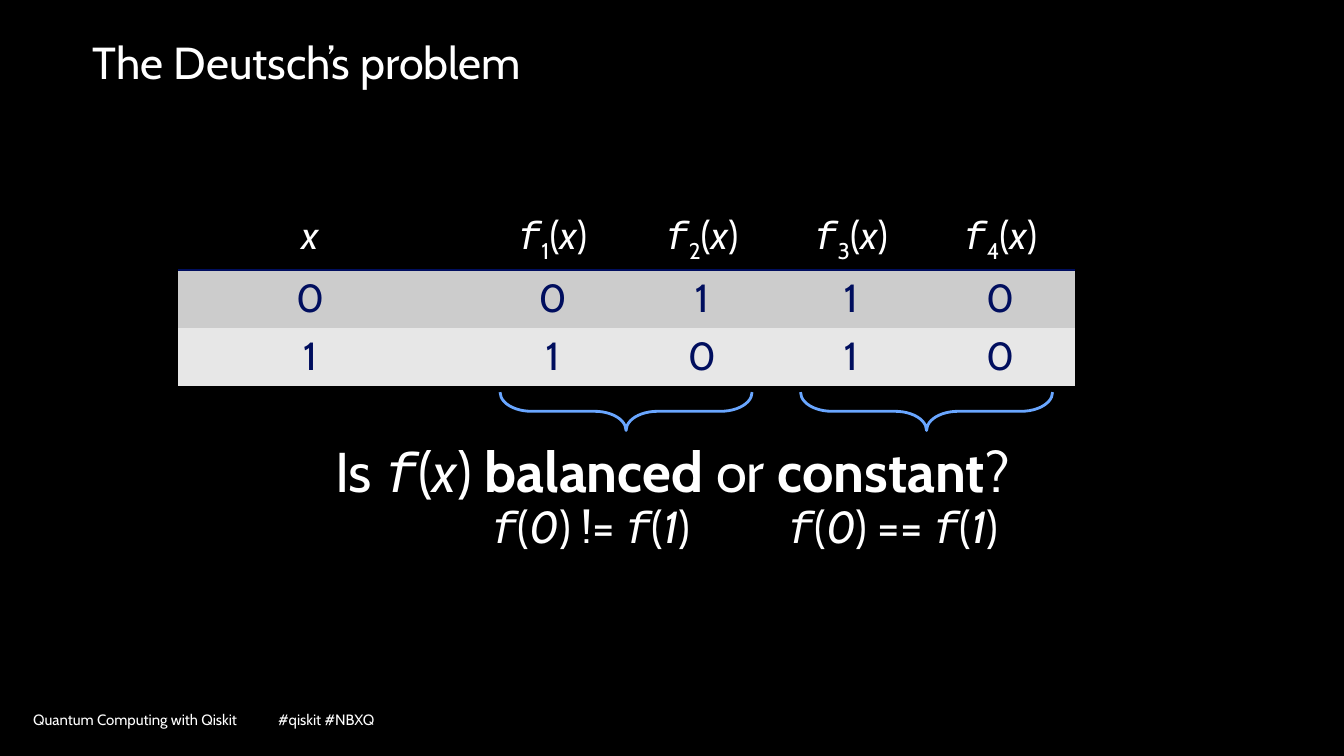
from typing import NamedTuple

import pptx
import pptx.dml.color
import pptx.enum.shapes
import pptx.enum.text
import pptx.oxml
import pptx.oxml.ns
import pptx.util
from pptx.util import Inches

WHITE, BLACK, NAVY, BLUE = "FFFFFF", "000000", "000E5E", "69A6FF"
TEXT_FONT, FUNCTION_FONT = "Cabin", "Courier New"
NO_TABLE_STYLE = "{2D5ABB26-0587-4C30-8999-92F81FD0307C}"
LEFT = pptx.enum.text.PP_ALIGN.LEFT
CENTER = pptx.enum.text.PP_ALIGN.CENTER


class Run(NamedTuple):
    text: str
    italic: bool = False
    bold: bool = False
    font: str = TEXT_FONT
    subscript: bool = False


class TextLine(NamedTuple):
    left: float
    top: float
    width: float
    size: float
    alignment: pptx.enum.text.PP_ALIGN
    runs: list[Run]


def colour(value: str) -> pptx.dml.color.RGBColor:
    return pptx.dml.color.RGBColor.from_string(value)


def function_of(argument: str, index: str = "") -> list[Run]:
    """Runs for f(argument), with an optional subscript index."""
    subscript = [Run(index, subscript=True)] if index else []
    return [Run("f", italic=True, font=FUNCTION_FONT), *subscript,
            Run("("), Run(argument, italic=True), Run(")")]


def write_runs(paragraph, runs: list[Run], size: float, text_colour: str,
               alignment: pptx.enum.text.PP_ALIGN) -> None:
    paragraph.alignment = alignment
    paragraph.font.size = pptx.util.Pt(size)
    paragraph.font.color.rgb = colour(text_colour)
    for part in runs:
        run = paragraph.add_run()
        run.text = part.text
        run.font.name = part.font
        run.font.size = pptx.util.Pt(size)
        run.font.color.rgb = colour(text_colour)
        run.font.italic = part.italic
        run.font.bold = part.bold
        if part.subscript:
            run.font._element.set("baseline", "-25000")


def prepare_frame(shape, anchor=pptx.enum.text.MSO_ANCHOR.TOP):
    frame = shape.text_frame
    frame.word_wrap = True
    frame.auto_size = pptx.enum.text.MSO_AUTO_SIZE.NONE
    frame.vertical_anchor = anchor
    frame.margin_left = frame.margin_right = 0
    frame.margin_top = frame.margin_bottom = 0
    return frame


def add_text_line(slide, line: TextLine) -> None:
    box = slide.shapes.add_textbox(Inches(line.left), Inches(line.top),
                                   Inches(line.width), Inches(0.48))
    paragraph = prepare_frame(box).paragraphs[0]
    paragraph.line_spacing = 0.9
    write_runs(paragraph, line.runs, line.size, WHITE, line.alignment)


def add_title(slide, text: str) -> None:
    title = slide.shapes.title
    title.left, title.top = Inches(0.92), Inches(0.4)
    title.width, title.height = Inches(11.5), Inches(1.45)
    paragraph = prepare_frame(title).paragraphs[0]
    paragraph.line_spacing = 0.9
    write_runs(paragraph, [Run(text)], 32, WHITE, LEFT)


def add_bottom_border(cell, border_colour: str) -> None:
    border = pptx.oxml.parse_xml(
        f'<a:lnB {pptx.oxml.ns.nsdecls("a")} w="25400"><a:solidFill>'
        f'<a:srgbClr val="{border_colour}"/></a:solidFill></a:lnB>')
    cell._tc.get_or_add_tcPr().insert(0, border)


def add_truth_table(slide) -> None:
    widths = [2.61, 0.36] + [1.48] * 4
    header = [[Run("x", italic=True)], []]
    header += [function_of("x", index) for index in "1234"]
    values = [[[Run(digit)] if digit != " " else [] for digit in row]
              for row in ("0 0110", "1 1010")]
    rows = [(BLACK, WHITE, header), ("CCCCCC", NAVY, values[0]),
            ("E7E7E7", NAVY, values[1])]

    graphic_frame = slide.shapes.add_table(
        len(rows), len(widths), Inches(1.77), Inches(2.05),
        Inches(sum(widths)), Inches(0.57 * len(rows)))
    table = graphic_frame.table
    table.first_row = table.horz_banding = False
    style = graphic_frame._element.find(
        ".//" + pptx.oxml.ns.qn("a:tableStyleId"))
    style.text = NO_TABLE_STYLE
    for column, width in zip(table.columns, widths):
        column.width = Inches(width)
    for row_index, (fill, text_colour, contents) in enumerate(rows):
        for column_index, runs in enumerate(contents):
            cell = table.cell(row_index, column_index)
            cell.fill.solid()
            cell.fill.fore_color.rgb = colour(fill)
            write_runs(cell.text_frame.paragraphs[0], runs, 28,
                       text_colour, CENTER)
            if row_index == 0:
                add_bottom_border(cell, NAVY)


def add_brace(slide, left: float) -> None:
    brace = slide.shapes.add_shape(
        pptx.enum.shapes.MSO_SHAPE.LEFT_BRACE,
        Inches(left), Inches(2.83), Inches(0.38), Inches(2.5))
    brace.rotation = 270
    brace.adjustments[0] = 0.82
    brace.adjustments[1] = 0.5
    brace.shadow.inherit = False
    brace.fill.background()
    brace.line.color.rgb = colour(BLUE)
    brace.line.width = pptx.util.Pt(2)


def add_footer(slide, text: str) -> None:
    box = slide.shapes.add_textbox(Inches(0.33), Inches(7.04),
                                   Inches(9.33), Inches(0.2))
    frame = prepare_frame(box, pptx.enum.text.MSO_ANCHOR.MIDDLE)
    paragraph = frame.paragraphs[0]
    tabs = pptx.oxml.parse_xml(
        f'<a:tabLst {pptx.oxml.ns.nsdecls("a")}>'
        f'<a:tab pos="{Inches(2.43)}" algn="l"/></a:tabLst>')
    paragraph._p.get_or_add_pPr().append(tabs)
    paragraph.text = text
    paragraph.alignment = LEFT
    paragraph.font.name = TEXT_FONT
    paragraph.font.size = pptx.util.Pt(10.7)
    paragraph.font.color.rgb = colour(WHITE)


def main() -> None:
    presentation = pptx.Presentation()
    presentation.slide_width = Inches(13.33)
    presentation.slide_height = Inches(7.5)
    slide = presentation.slides.add_slide(presentation.slide_layouts[5])
    slide.background.fill.solid()
    slide.background.fill.fore_color.rgb = colour(BLACK)

    # Title and truth table
    add_title(slide, "The Deutsch’s problem")
    add_truth_table(slide)

    # Braces under the balanced and the constant functions
    for left in (6.02, 9):
        add_brace(slide, left)

    # Question and the two conditions
    question = [Run("Is "), *function_of("x"), Run(" "),
                Run("balanced", bold=True), Run(" or "),
                Run("constant", bold=True), Run("?")]
    balanced = [*function_of("0"), Run(" != "), *function_of("1")]
    constant = [*function_of("0"), Run(" == "), *function_of("1")]
    for line in (TextLine(0.92, 4.41, 11.5, 40, CENTER, question),
                 TextLine(4.55, 5.01, 2.62, 32, CENTER, balanced),
                 TextLine(7.81, 5.01, 2.49, 32, LEFT, constant)):
        add_text_line(slide, line)

    # Footer
    add_footer(slide, "Quantum Computing with Qiskit\t#qiskit #NBXQ")
    presentation.save("out.pptx")


if __name__ == "__main__":
    main()
